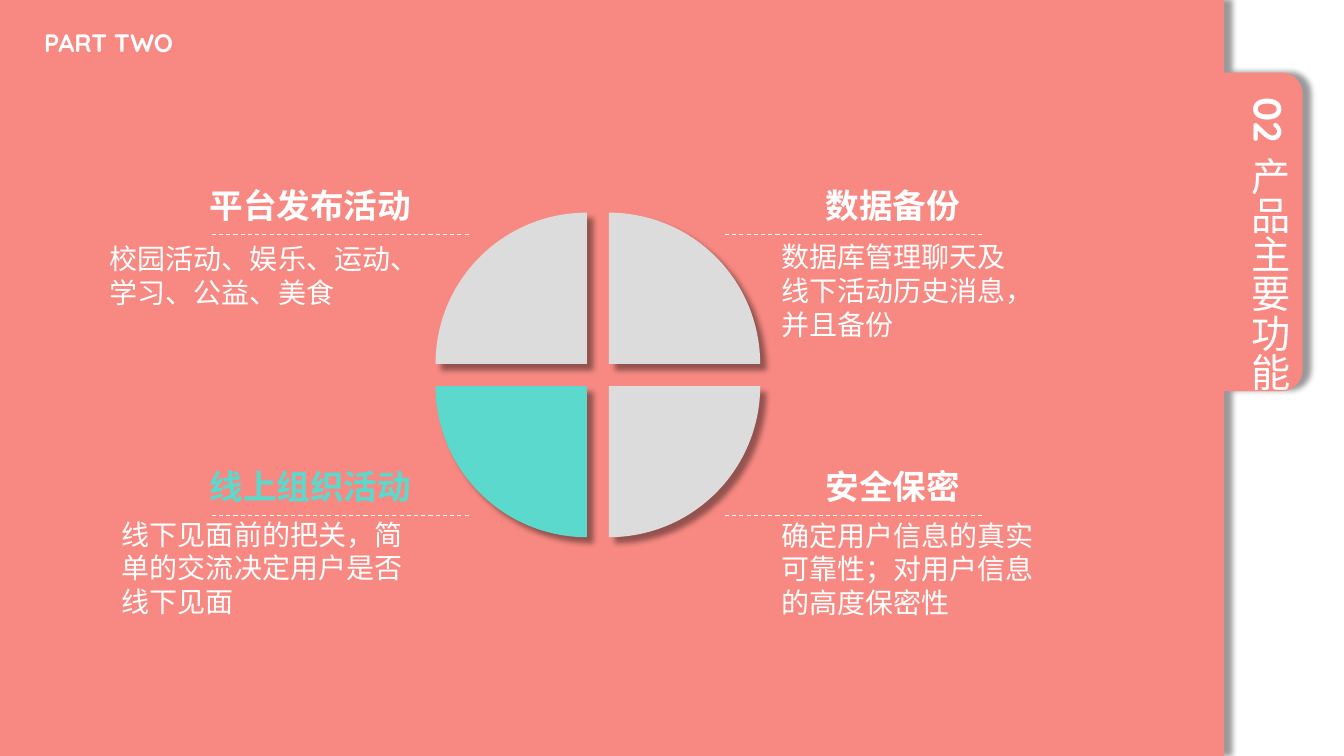
import math

import pptx
import pptx.dml.color
import pptx.enum.dml
import pptx.enum.lang
import pptx.enum.shapes
import pptx.enum.text
import pptx.oxml
import pptx.oxml.ns
import pptx.util
from pptx.util import Inches

COLORS = {"coral": "F78982", "teal": "5AD9CC", "grey": "DCDCDC", "white": "FFFFFF", "black": "000000"}
CJK_FONT = "Noto Sans CJK SC"
LATIN_FONT = "Quicksand"


def rgb(name):
    return pptx.dml.color.RGBColor.from_string(COLORS[name])


def style_shape(sp, color, shadow_angle):
    sp.fill.solid()
    sp.fill.fore_color.rgb = rgb(color)
    sp.line.fill.background()
    sp.shadow.inherit = False
    shadow = pptx.oxml.parse_xml(
        f'<a:outerShdw {pptx.oxml.ns.nsdecls("a")} blurRad="{pptx.util.Pt(4)}" dist="{pptx.util.Pt(6)}" '
        f'dir="{shadow_angle * 60000}" algn="tl" rotWithShape="0">'
        f'<a:srgbClr val="{COLORS["black"]}"><a:alpha val="40000"/></a:srgbClr></a:outerShdw>')
    sp._element.spPr.find(pptx.oxml.ns.qn("a:effectLst")).append(shadow)


def add_text(s, text, left, top, width, height, size=20, color="white", bold=False,
             font=LATIN_FONT, wrap=True, grow=False, vertical=False, line_spacing=None):
    sp = s.shapes.add_textbox(Inches(left), Inches(top), Inches(width), Inches(height))
    tf = sp.text_frame
    tf.word_wrap = wrap
    if grow:
        tf.auto_size = pptx.enum.text.MSO_AUTO_SIZE.SHAPE_TO_FIT_TEXT
    if vertical:
        tf._txBody.bodyPr.set("vert", "eaVert")
    for i, line in enumerate(text.split("\n")):
        p = tf.paragraphs[0] if i == 0 else tf.add_paragraph()
        p.line_spacing = line_spacing
        r = p.add_run()
        r.text = line
        r.font.size = pptx.util.Pt(size)
        r.font.bold = bold
        r.font.color.rgb = rgb(color)
        r.font.name = font
        r.font.language_id = pptx.enum.lang.MSO_LANGUAGE_ID.SIMPLIFIED_CHINESE
        r._r.get_or_add_rPr().append(
            pptx.oxml.parse_xml(f'<a:ea {pptx.oxml.ns.nsdecls("a")} typeface="{CJK_FONT}"/>'))


def add_panel(s):
    edge, right, top, bottom, radius = 12.14, 12.92, 0.72, 3.88, 0.21

    def corner(cy, start):
        angles = [math.radians(start + 5 * i) for i in range(19)]
        return [(right - radius + radius * math.cos(a), cy + radius * math.sin(a)) for a in angles]

    points = [(edge, 0), (edge, top), *corner(top + radius, -90), *corner(bottom - radius, 0),
              (edge, bottom), (edge, 7.5), (0, 7.5)]
    builder = s.shapes.build_freeform(0, 0)
    builder.add_line_segments([(Inches(x), Inches(y)) for x, y in points], close=True)
    style_shape(builder.convert_to_shape(), "coral", 0)


def add_quarter(s, left, top, start, color):
    sp = s.shapes.add_shape(pptx.enum.shapes.MSO_SHAPE.PIE, Inches(left), Inches(top), Inches(3), Inches(3))
    sp.adjustments[0] = start * 0.6
    sp.adjustments[1] = (start + 90) % 360 * 0.6
    style_shape(sp, color, 45)


def add_dashed_line(s, left, top):
    line = s.shapes.add_connector(pptx.enum.shapes.MSO_CONNECTOR.STRAIGHT,
                                  Inches(left), Inches(top), Inches(left + 2.56), Inches(top))
    line.line.color.rgb = rgb("white")
    line.line.width = pptx.util.Pt(0.75)
    line.line.dash_style = pptx.enum.dml.MSO_LINE.DASH
    line._element.spPr.append(pptx.oxml.parse_xml(f'<a:effectLst {pptx.oxml.ns.nsdecls("a")}/>'))


def main():
    prs = pptx.Presentation()
    prs.slide_width, prs.slide_height = Inches(13.33), Inches(7.5)
    s = prs.slides.add_slide(prs.slide_layouts[6])

    add_panel(s)
    add_text(s, "产品主要功能", 12.16, 1.46, 0.66, 2.62, size=28, font=CJK_FONT, vertical=True, line_spacing=0.9)
    add_text(s, "02", 12.16, 0.87, 0.66, 0.92, size=28, bold=True, vertical=True, line_spacing=0.9)
    add_text(s, "PART TWO", 0.34, 0.26, 4.31, 0.39, size=18, bold=True, line_spacing=0.9)

    for left, top, start, color in [(4.32, 2.11, 180, "grey"), (4.54, 2.11, 270, "grey"),
                                    (4.32, 2.33, 90, "teal"), (4.54, 2.33, 0, "grey")]:
        add_quarter(s, left, top, start, color)

    features = [
        (0, 0, "平台发布活动", "white", "校园活动、娱乐、运动、\n学习、公益、美食", (0.99, 2.35, 3.21, 0.77)),
        (1, 0, "数据备份", "white", "数据库管理聊天及\n线下活动历史消息，并且备份", (7.65, 2.33, 2.84, 1.11)),
        (0, 1, "线上组织活动", "teal", "线下见面前的把关，简单的交流决定用户是否线下见面",
         (1.11, 5.08, 3.21, 1.11)),
        (1, 1, "安全保密", "white", "确定用户信息的真实可靠性；对用户信息的高度保密性",
         (7.65, 5.09, 2.84, 1.11)),
    ]
    for col, row, title, color, body, body_box in features:
        drop = 2.78 * row
        add_dashed_line(s, (2.1, 7.19)[col], 2.33 + drop)
        add_text(s, title, (1.98, 8.09)[col], 1.79 + drop, (2.22, 1.55)[col], 0.5,
                 size=24, color=color, bold=True, wrap=False, grow=True)
        add_text(s, body, *body_box, grow=True)

    prs.save("out.pptx")


if __name__ == "__main__":
    main()
